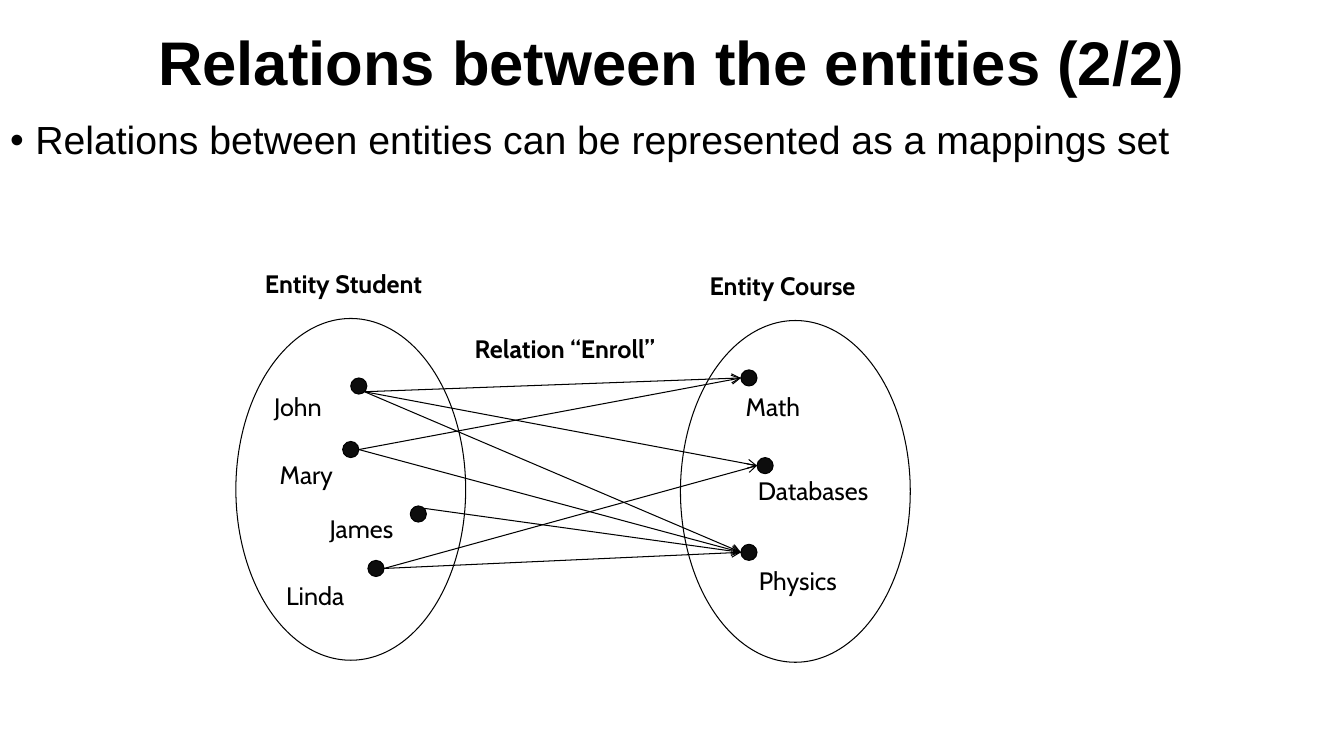
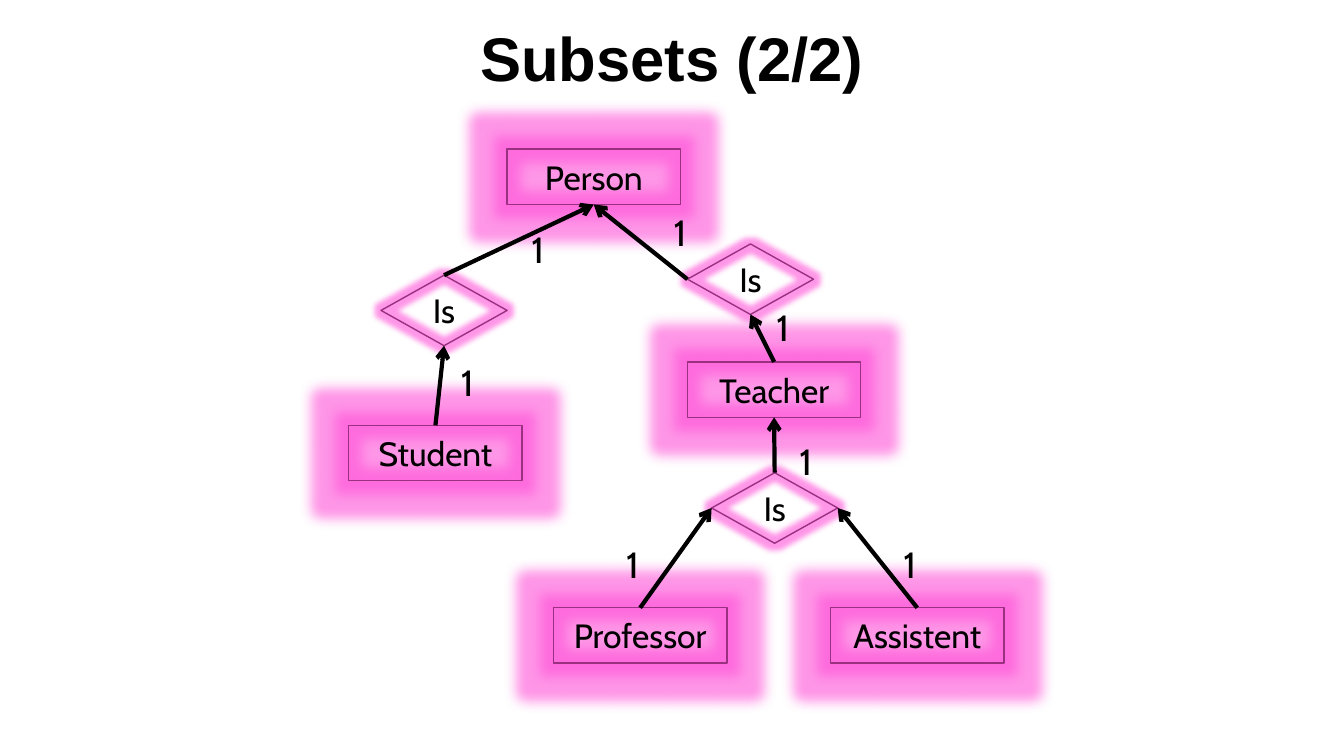
from dataclasses import dataclass
from math import sqrt

from lxml.etree import SubElement
from pptx import Presentation
from pptx.dml.color import RGBColor
from pptx.enum.shapes import MSO_CONNECTOR as Connector, MSO_SHAPE as Shape
from pptx.enum.text import MSO_ANCHOR as Anchor, MSO_AUTO_SIZE as AutoSize, PP_ALIGN as Align
from pptx.oxml.ns import qn
from pptx.util import Inches, Pt


@dataclass(frozen=True)
class Theme:
    black: RGBColor = RGBColor(0, 0, 0)
    dot: RGBColor = RGBColor(0x0D, 0x0D, 0x0D)
    purple: RGBColor = RGBColor(0x99, 0x30, 0x80)
    glow: str = "FF50D8"
    heading_font: str = "Arial"
    diagram_font: str = "Cabin"
    title_size: int = 44
    body_size: int = 28
    label_size: int = 18
    node_size: int = 24
    count_size: int = 26


theme = Theme()
presentation = Presentation()
presentation.slide_width, presentation.slide_height = Inches(13.333), Inches(7.5)

# The grid has 100 columns and 100 rows
COLUMN = presentation.slide_width / 100
ROW = presentation.slide_height / 100


def area(left, top, width, height):
    return [round(length) for length in (left * COLUMN, top * ROW, width * COLUMN, height * ROW)]


def write(shape, text, font, size, align=Align.LEFT, anchor=Anchor.TOP, bold=False):
    frame = shape.text_frame
    frame.text = text
    frame.word_wrap = True
    frame.auto_size = AutoSize.NONE
    frame.vertical_anchor = anchor
    paragraph = frame.paragraphs[0]
    paragraph.alignment = align
    run_font = paragraph.runs[0].font
    run_font.name, run_font.size, run_font.bold = font, Pt(size), bold
    run_font.color.rgb = theme.black
    return paragraph


# Slides and titles: layout, title text, title area
slides = []
for layout, title, title_area in (
    (1, "Relations between the entities (2/2)", (0, 0, 100, 17.47)),
    (5, "Subsets (2/2)", (12.5, 0, 75, 16.4)),
):
    slide = presentation.slides.add_slide(presentation.slide_layouts[layout])
    shape = slide.shapes.title
    shape.left, shape.top, shape.width, shape.height = area(*title_area)
    paragraph = write(shape, title, theme.heading_font, theme.title_size, Align.CENTER, Anchor.MIDDLE, True)
    paragraph.line_spacing = 0.9
    slides.append(slide)
mapping_slide, subset_slide = slides
outlines = []  # shape, colour, line width
arrows = []  # connector, line width

# Mapping slide: bullet
body = mapping_slide.placeholders[1]
body.left, body.top, body.width, body.height = area(0, 15.33, 100, 77.73)
paragraph = write(body, "Relations between entities can be represented as a mappings set",
                  theme.heading_font, theme.body_size)
paragraph.line_spacing = 0.9
paragraph.space_before, paragraph.space_after = Pt(0), Pt(6)
properties = paragraph._p.get_or_add_pPr()
properties.set("marL", str(Inches(0.25)))
properties.set("indent", str(-Inches(0.25)))
SubElement(properties, qn("a:buChar"), char="•")

# Mapping slide: the two sets and the bold labels
headings = [("Relation “Enroll”", 34.58, 43.47, 18.9)]
for heading, left, top in (("Entity Student", 17.55, 42.13), ("Entity Course", 50.63, 42.4)):
    entity_set = mapping_slide.shapes.add_shape(Shape.OVAL, *area(left, top, 17.1, 45.2))
    entity_set.fill.background()
    outlines.append((entity_set, theme.black, 0.75))
    headings.append((heading, left + 1.43, top - 7.27, 14.18))
for heading, left, top, width in headings:
    label = mapping_slide.shapes.add_textbox(*area(left, top, width, 5.33))
    write(label, heading, theme.diagram_font, theme.label_size, bold=True)

# Mapping slide: members, with dot corner and label left, top, width
members = (
    ("John", 26.1, 50, 19.65, 51.07, 10.88, Align.LEFT),
    ("James", 30.53, 66.93, 19.5, 67.2, 10.5, Align.RIGHT),
    ("Mary", 25.5, 58.4, 18.38, 60.13, 7.13, Align.RIGHT),
    ("Linda", 27.38, 74.13, 20.55, 76.13, 8.1, Align.LEFT),
    ("Math", 55.13, 48.93, 54.75, 51.07, 7.05, Align.LEFT),
    ("Databases", 56.33, 60.53, 55.65, 62.27, 11.33, Align.LEFT),
    ("Physics", 55.13, 72, 55.73, 74.13, 9.38, Align.LEFT),
)
dots = {}
for name, dot_left, dot_top, left, top, width, align in members:
    dot = mapping_slide.shapes.add_shape(Shape.OVAL, *area(dot_left, dot_top, 1.2, 2.13))
    dot.fill.solid()
    dot.fill.fore_color.rgb = theme.dot
    outlines.append((dot, theme.black, 0.75))
    dots[name] = dot
    label = mapping_slide.shapes.add_textbox(*area(left, top, width, 5.33))
    write(label, name, theme.diagram_font, theme.label_size, align)

# Mapping slide: enrolments leave a dot at a share of its width and height
near, far = 0.5 - sqrt(2) / 4, 0.5 + sqrt(2) / 4
enrolments = (
    ("John", far, far, ("Physics", "Databases", "Math")),
    ("Mary", 1, 0.5, ("Math", "Physics")),
    ("James", far, near, ("Physics",)),
    ("Linda", 1, 0.5, ("Physics", "Databases")),
)
for student, across, down, courses in enrolments:
    start = dots[student]
    for course in courses:
        end = dots[course]
        connector = mapping_slide.shapes.add_connector(
            Connector.STRAIGHT,
            round(start.left + across * start.width), round(start.top + down * start.height),
            end.left, end.top + end.height // 2)
        arrows.append((connector, 0.75))

# Subset slide: entities and relations, both with a glow
ENTITY = (Shape.RECTANGLE, 12.9, 7.33, 18)
RELATION = (Shape.FLOWCHART_DECISION, 9.38, 9.33, 8)
nodes = {}
for key, text, (kind, width, height, glow_radius), left, top in (
    ("person", "Person", ENTITY, 37.73, 19.73),
    ("student is", "Is", RELATION, 28.35, 36.4),
    ("student", "Student", ENTITY, 25.95, 56.27),
    ("teacher is", "Is", RELATION, 51.15, 32.27),
    ("teacher", "Teacher", ENTITY, 51.15, 47.87),
    ("staff is", "Is", RELATION, 52.95, 62.53),
    ("assistent", "Assistent", ENTITY, 61.8, 80.4),
    ("professor", "Professor", ENTITY, 41.18, 80.4),
):
    node = subset_slide.shapes.add_shape(kind, *area(left, top, width, height))
    node.fill.background()
    write(node, text, theme.diagram_font, theme.node_size, Align.CENTER, Anchor.MIDDLE)
    outlines.append((node, theme.purple, 1))
    nodes[key] = node
    node.shadow.inherit = False
    effects = node._element.spPr.find(qn("a:effectLst"))
    glow = SubElement(effects, qn("a:glow"), rad=str(Pt(glow_radius)))
    colour = SubElement(glow, qn("a:srgbClr"), val=theme.glow)
    SubElement(colour, qn("a:alpha"), val="60000")

# Subset slide: cardinalities
for left, top in ((33, 47.87), (38.25, 30.27), (45.3, 72), (58.2, 58.4),
                  (56.48, 40.67), (48.83, 28.13), (65.93, 72)):
    count = subset_slide.shapes.add_textbox(*area(left, top, 3.53, 5.2))
    write(count, "1", theme.diagram_font, theme.count_size, Align.CENTER, Anchor.MIDDLE)

# Subset slide: arrows between sides
TOP, LEFT, BOTTOM, RIGHT = range(4)
for start, start_side, end, end_side in (
    ("professor", TOP, "staff is", LEFT),
    ("teacher", TOP, "teacher is", BOTTOM),
    ("staff is", TOP, "teacher", BOTTOM),
    ("assistent", TOP, "staff is", RIGHT),
    ("teacher is", LEFT, "person", BOTTOM),
    ("student is", TOP, "person", BOTTOM),
    ("student", TOP, "student is", BOTTOM),
):
    connector = subset_slide.shapes.add_connector(Connector.STRAIGHT, 0, 0, 0, 0)
    connector.begin_connect(nodes[start], start_side)
    connector.end_connect(nodes[end], end_side)
    arrows.append((connector, 3))

# Line styles
for shape, colour, width in outlines:
    shape.shadow.inherit = False
    shape.line.color.rgb = colour
    shape.line.width = Pt(width)
for connector, width in arrows:
    connector.line.color.rgb = theme.black
    connector.line.width = Pt(width)
    SubElement(connector.line._get_or_add_ln(), qn("a:tailEnd"), type="arrow")
    SubElement(connector._element.spPr, qn("a:effectLst"))

presentation.save("out.pptx")
